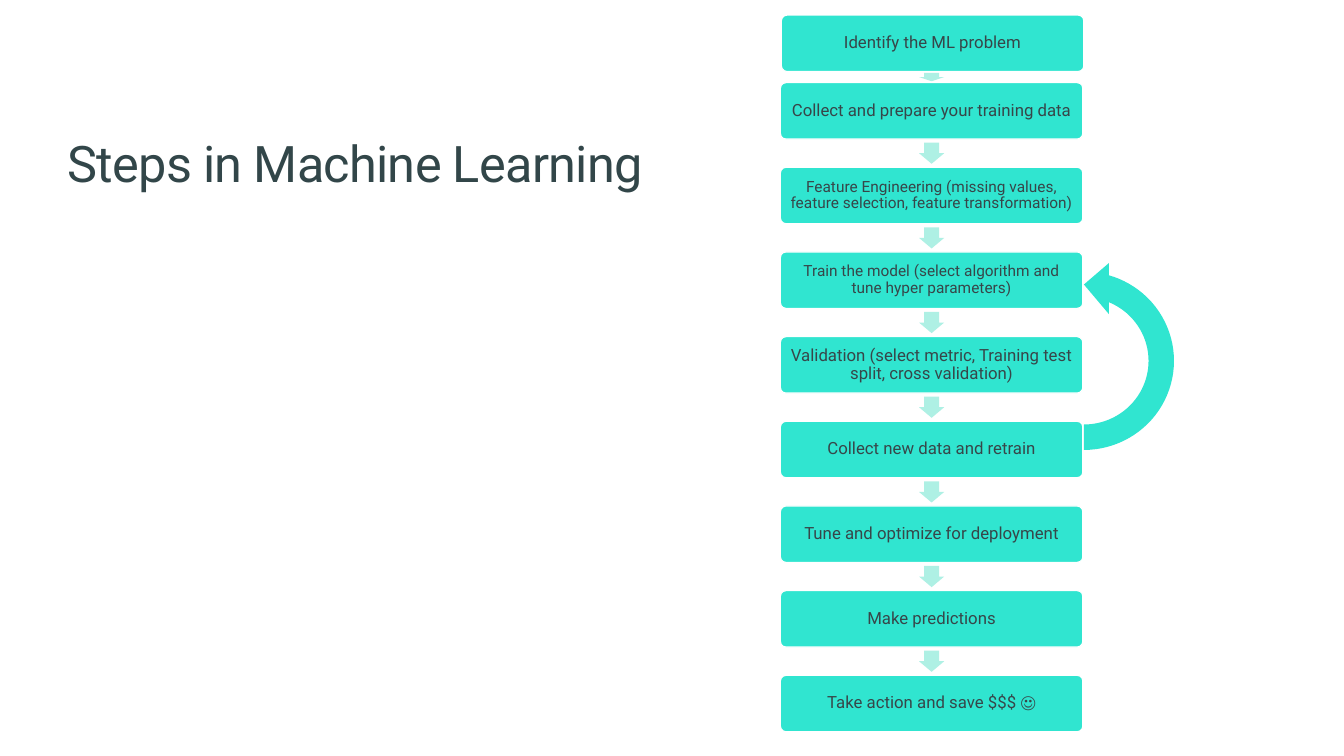
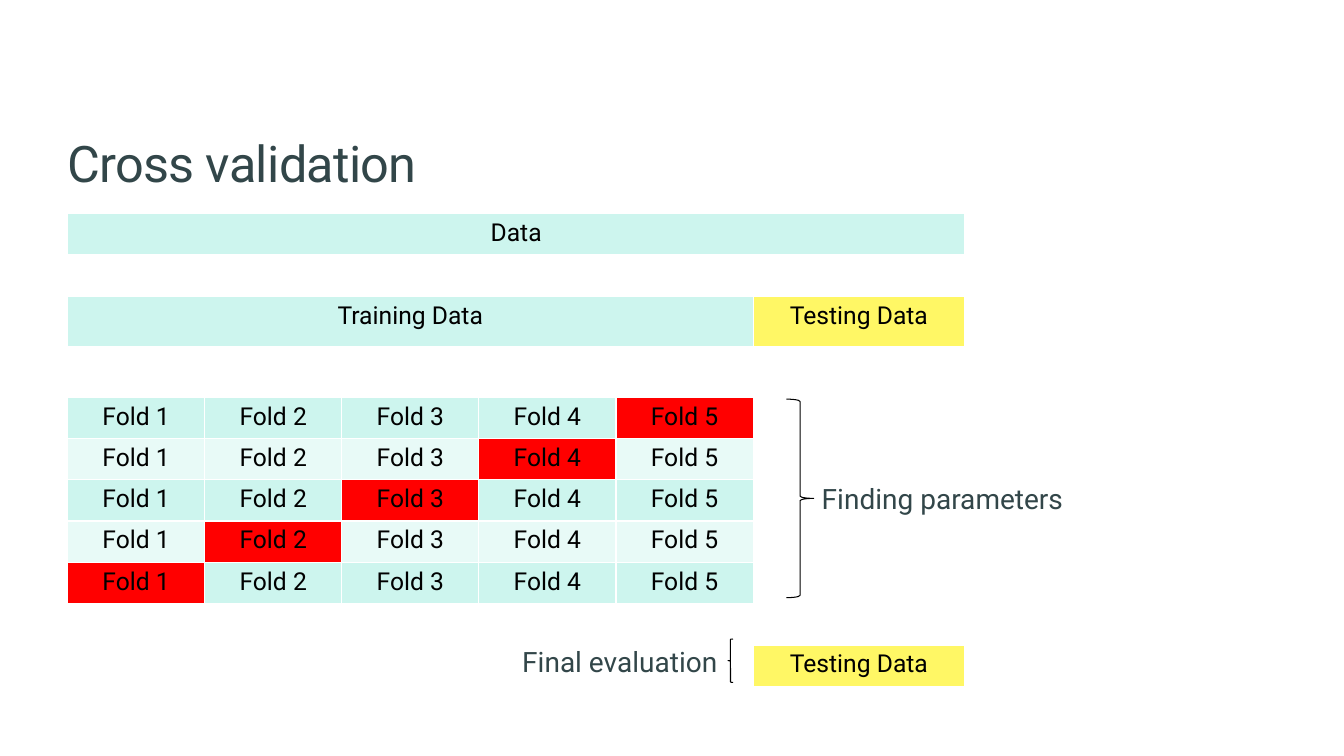
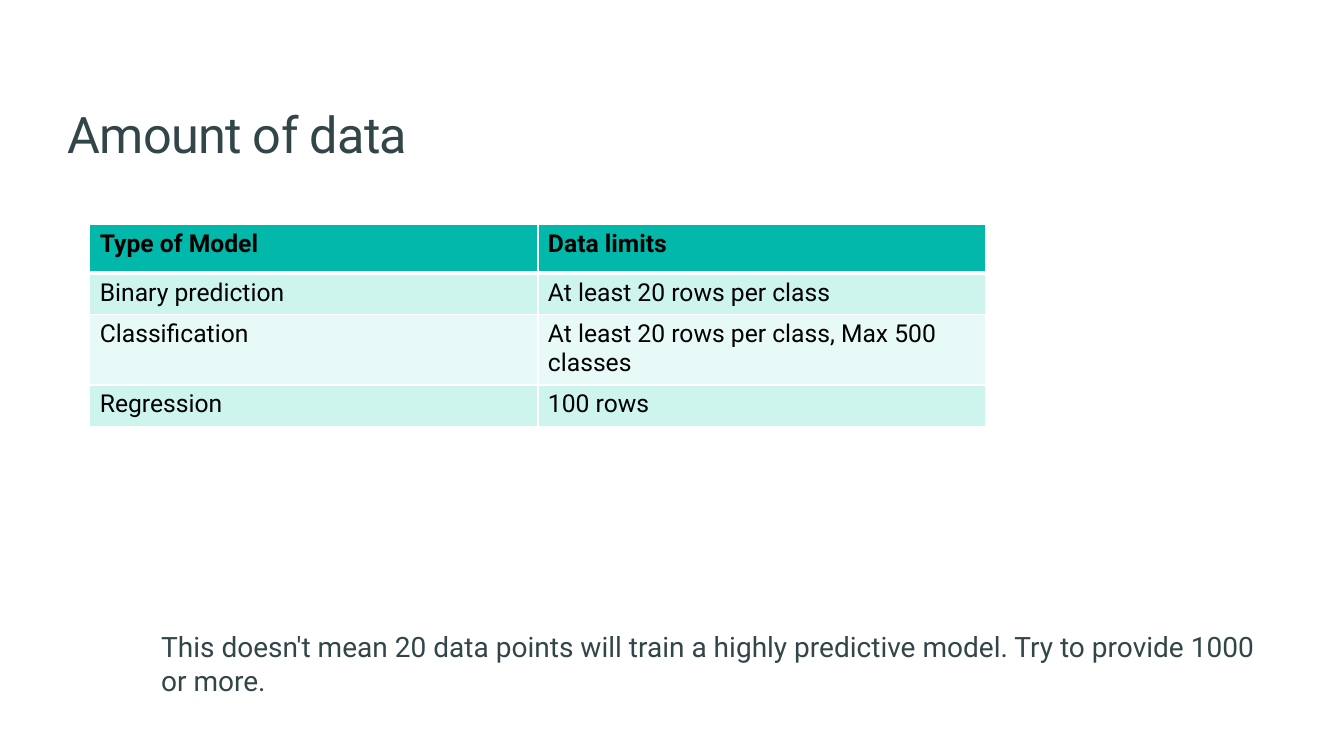
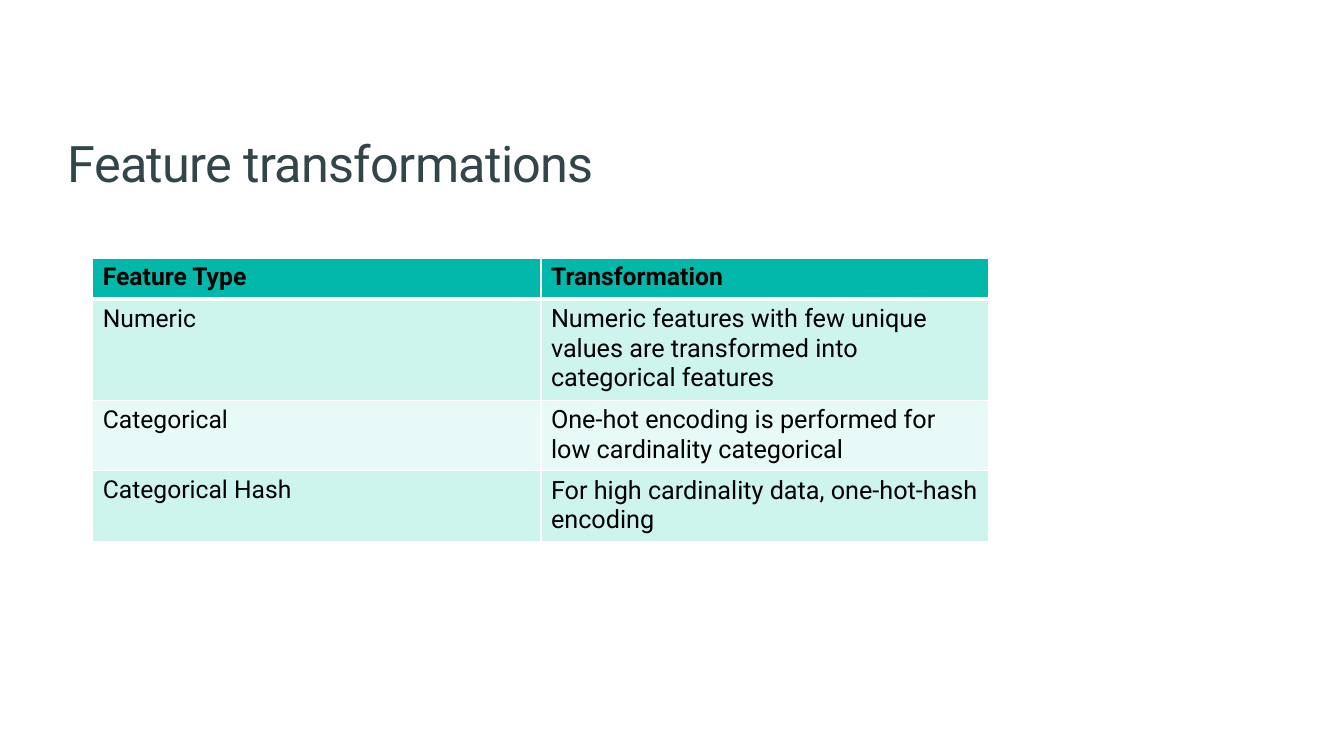
from dataclasses import dataclass

from lxml import etree
from pptx import Presentation
from pptx.dml.color import RGBColor
from pptx.enum.shapes import MSO_SHAPE
from pptx.enum.text import MSO_ANCHOR, PP_ALIGN
from pptx.oxml.ns import qn
from pptx.util import Inches, Pt

LEFT, CENTER = PP_ALIGN.LEFT, PP_ALIGN.CENTER
MIDDLE, BOTTOM = MSO_ANCHOR.MIDDLE, MSO_ANCHOR.BOTTOM
ROUNDED_BOX, DOWN_ARROW = MSO_SHAPE.ROUNDED_RECTANGLE, MSO_SHAPE.DOWN_ARROW
LOOP_ARROW = MSO_SHAPE.CIRCULAR_ARROW
LEFT_BRACE, RIGHT_BRACE = MSO_SHAPE.LEFT_BRACE, MSO_SHAPE.RIGHT_BRACE


@dataclass(frozen=True)
class Theme:
    font: str = "Roboto"
    ink: RGBColor = RGBColor(0x32, 0x46, 0x49)
    step_ink: RGBColor = RGBColor(0x37, 0x46, 0x49)
    black: RGBColor = RGBColor(0, 0, 0)
    white: RGBColor = RGBColor(255, 255, 255)
    turquoise: RGBColor = RGBColor(0x30, 0xE5, 0xD0)
    pale_arrow: RGBColor = RGBColor(0xAE, 0xF0, 0xE4)
    header: RGBColor = RGBColor(0x01, 0xB8, 0xAA)
    band_dark: RGBColor = RGBColor(0xCD, 0xF5, 0xEE)
    band_light: RGBColor = RGBColor(0xE8, 0xFA, 0xF7)
    yellow: RGBColor = RGBColor(0xFF, 0xF7, 0x65)
    red: RGBColor = RGBColor(0xFF, 0, 0)
    title_size: float = 36
    note_size: float = 20
    table_size: float = 17.6
    detail_size: float = 18
    step_size: float = 12
    long_step_size: float = 11


theme = Theme()


def write_text(frame, text, size, color, alignment=LEFT, bold=False, margin=0):
    frame.word_wrap = True
    if margin is not None:
        frame.margin_left = frame.margin_right = Inches(margin)
        frame.margin_top = frame.margin_bottom = Inches(margin)
    paragraph = frame.paragraphs[0]
    paragraph.alignment = alignment
    run = paragraph.add_run()
    run.text = text
    run.font.name = theme.font
    run.font.size = Pt(size)
    run.font.bold = bold
    run.font.color.rgb = color
    return paragraph


def style_cell(cell, fill, text="", size=theme.table_size, alignment=LEFT,
               bold=False, top=1, bottom=1):
    properties = cell._tc.get_or_add_tcPr()
    for side, width in (("L", 1), ("R", 1), ("T", top), ("B", bottom)):
        border = etree.SubElement(properties, qn("a:ln" + side), w=str(Pt(width)))
        solid = etree.SubElement(border, qn("a:solidFill"))
        etree.SubElement(solid, qn("a:srgbClr"), val=str(theme.white))
    cell.fill.solid()
    cell.fill.fore_color.rgb = fill
    if text:
        write_text(cell.text_frame, text, size, theme.black, alignment, bold, None)


presentation = Presentation()
presentation.slide_width = Inches(13.33)
presentation.slide_height = Inches(7.5)

# Slides and their titles
slides = []
for title, top in (("Steps in Machine Learning", 1.37), ("Cross validation", 1.37),
                   ("Amount of data", 1.08), ("Feature transformations", 1.37)):
    slide = presentation.slides.add_slide(presentation.slide_layouts[6])
    box = slide.shapes.add_textbox(Inches(0.67), Inches(top), Inches(10.7), Inches(0.55))
    box.text_frame.vertical_anchor = BOTTOM
    paragraph = write_text(box.text_frame, title, theme.title_size, theme.ink)
    paragraph.line_spacing = 0.9
    paragraph.runs[0].font._element.set("spc", "-50")
    slides.append(slide)
steps_slide, folds_slide, amount_slide, transformations_slide = slides

# Steps: a column of boxes joined by arrows
steps = [
    ("Identify the ML problem", theme.step_size),
    ("Collect and prepare your training data", theme.step_size),
    ("Feature Engineering (missing values, feature selection, feature transformation)",
     theme.long_step_size),
    ("Train the model (select algorithm and tune hyper parameters)", theme.long_step_size),
    ("Validation (select metric, Training test split, cross validation)", theme.step_size),
    ("Collect new data and retrain", theme.step_size),
    ("Tune and optimize for deployment", theme.step_size),
    ("Make predictions", theme.step_size),
    ("Take action and save $$$ ☺", theme.step_size),
]
step_width, step_height, arrow_width = 3, 0.56, 0.25
step_tops = [0.15] + [0.82 + 0.84 * index for index in range(len(steps) - 1)]
for index, (text, size) in enumerate(steps):
    left = 7.75 if index == 0 else 7.74
    shape = steps_slide.shapes.add_shape(
        ROUNDED_BOX, Inches(left), Inches(step_tops[index]),
        Inches(step_width), Inches(step_height))
    shape.adjustments[0] = 0.1
    shape.shadow.inherit = False
    shape.fill.solid()
    shape.fill.fore_color.rgb = theme.turquoise
    shape.line.color.rgb = theme.white
    shape.line.width = Pt(0.85)
    shape.text_frame.vertical_anchor = MIDDLE
    paragraph = write_text(shape.text_frame, text, size, theme.step_ink, CENTER, margin=0.05)
    paragraph.line_spacing = 0.9

for upper, lower in zip(step_tops, step_tops[1:]):
    gap = lower - upper - step_height
    arrow = steps_slide.shapes.add_shape(
        DOWN_ARROW, Inches(7.74 + (step_width - arrow_width) / 2),
        Inches(upper + step_height + gap / 8), Inches(arrow_width), Inches(gap * 0.75))
    arrow.adjustments[0] = 0.6
    arrow.adjustments[1] = 0.5
    arrow.shadow.inherit = False
    arrow.fill.solid()
    arrow.fill.fore_color.rgb = theme.pale_arrow
    arrow.line.fill.background()

# Arrow back from retraining to training
loop = steps_slide.shapes.add_shape(
    LOOP_ARROW, Inches(9.74), Inches(2.56), Inches(2.02), Inches(2.04))
loop.rotation = 270
loop._element.spPr.xfrm.set("flipV", "1")
loop.shadow.inherit = False
loop.fill.solid()
loop.fill.fore_color.rgb = theme.turquoise
loop.line.fill.background()

# Cross validation: data split and folds
fold_count, first_fold_row = 5, 4
column_widths = [1.36] * fold_count + [2.1]
row_heights = [0.41, 0.41, 0.5, 0.5] + [0.41] * 7
table = folds_slide.shapes.add_table(
    len(row_heights), len(column_widths), Inches(0.67), Inches(2.12),
    Inches(sum(column_widths)), Inches(sum(row_heights))).table
table.first_row = table.horz_banding = False
for column, width in zip(table.columns, column_widths):
    column.width = Inches(width)
for row, height in zip(table.rows, row_heights):
    row.height = Inches(height)

filled = {
    (0, 0): (theme.band_dark, "Data"),
    (2, 0): (theme.band_dark, "Training Data"),
    (2, 5): (theme.yellow, "Testing Data"),
    (10, 5): (theme.yellow, "Testing Data"),
}
for split in range(fold_count):
    band = theme.band_light if split % 2 else theme.band_dark
    for fold in range(fold_count):
        held_out = fold == fold_count - 1 - split
        filled[first_fold_row + split, fold] = (
            theme.red if held_out else band, f"Fold {fold + 1}")
for row in range(len(row_heights)):
    for column in range(len(column_widths)):
        fill, text = filled.get((row, column), (theme.white, ""))
        style_cell(table.cell(row, column), fill, text, alignment=CENTER)
for row, last_column in ((0, 5), (1, 5), (2, 4), (3, 5), (9, 5)):
    table.cell(row, 0).merge(table.cell(row, last_column))

# Braces
for kind, left, top, width, height in ((RIGHT_BRACE, 7.8, 3.96, 0.27, 1.97),
                                       (LEFT_BRACE, 7.22, 6.34, 0.05, 0.43)):
    brace = folds_slide.shapes.add_shape(
        kind, Inches(left), Inches(top), Inches(width), Inches(height))
    brace.shadow.inherit = False
    brace.fill.background()
    brace.line.color.rgb = theme.black
    brace.line.width = Pt(0.75)

# Brace labels and closing note
notes = [
    (folds_slide, "Finding parameters", 8.15, 4.78, 2.49, 0.34, 0),
    (folds_slide, "Final evaluation", 5.18, 6.39, 1.97, 0.34, 0),
    (amount_slide, "This doesn't mean 20 data points will train a highly predictive model. "
     "Try to provide 1000 or more.", 1.5, 6.2, 11.16, 0.77, None),
]
for slide, text, left, top, width, height, margin in notes:
    box = slide.shapes.add_textbox(Inches(left), Inches(top), Inches(width), Inches(height))
    write_text(box.text_frame, text, theme.note_size, theme.ink, margin=margin)

# Two-column tables
two_column_tables = [
    (amount_slide, 0.89, 2.23, theme.table_size, [0.48, 0.41, 0.7, 0.41], [
        ("Type of Model", "Data limits"),
        ("Binary prediction", "At least 20 rows per class"),
        ("Classification", "At least 20 rows per class, Max 500 classes"),
        ("Regression", "100 rows"),
    ]),
    (transformations_slide, 0.92, 2.56, theme.detail_size, [0.41, 1, 0.7, 0.7], [
        ("Feature Type", "Transformation"),
        ("Numeric", "Numeric features with few unique values are transformed into "
         "categorical features"),
        ("Categorical", "One-hot encoding is performed for low cardinality categorical"),
        ("Categorical Hash", "For high cardinality data, one-hot-hash encoding"),
    ]),
]
for slide, left, top, detail_size, heights, rows in two_column_tables:
    table = slide.shapes.add_table(
        len(rows), 2, Inches(left), Inches(top), Inches(8.89), Inches(sum(heights))).table
    table.horz_banding = False
    for row, texts in enumerate(rows):
        table.rows[row].height = Inches(heights[row])
        is_header = row == 0
        band = theme.band_dark if row % 2 else theme.band_light
        for column, text in enumerate(texts):
            is_detail = column == 1 and not is_header
            style_cell(table.cell(row, column), theme.header if is_header else band, text,
                       detail_size if is_detail else theme.table_size, bold=is_header,
                       top=3 if row == 1 else 1, bottom=3 if is_header else 1)

presentation.save("out.pptx")
